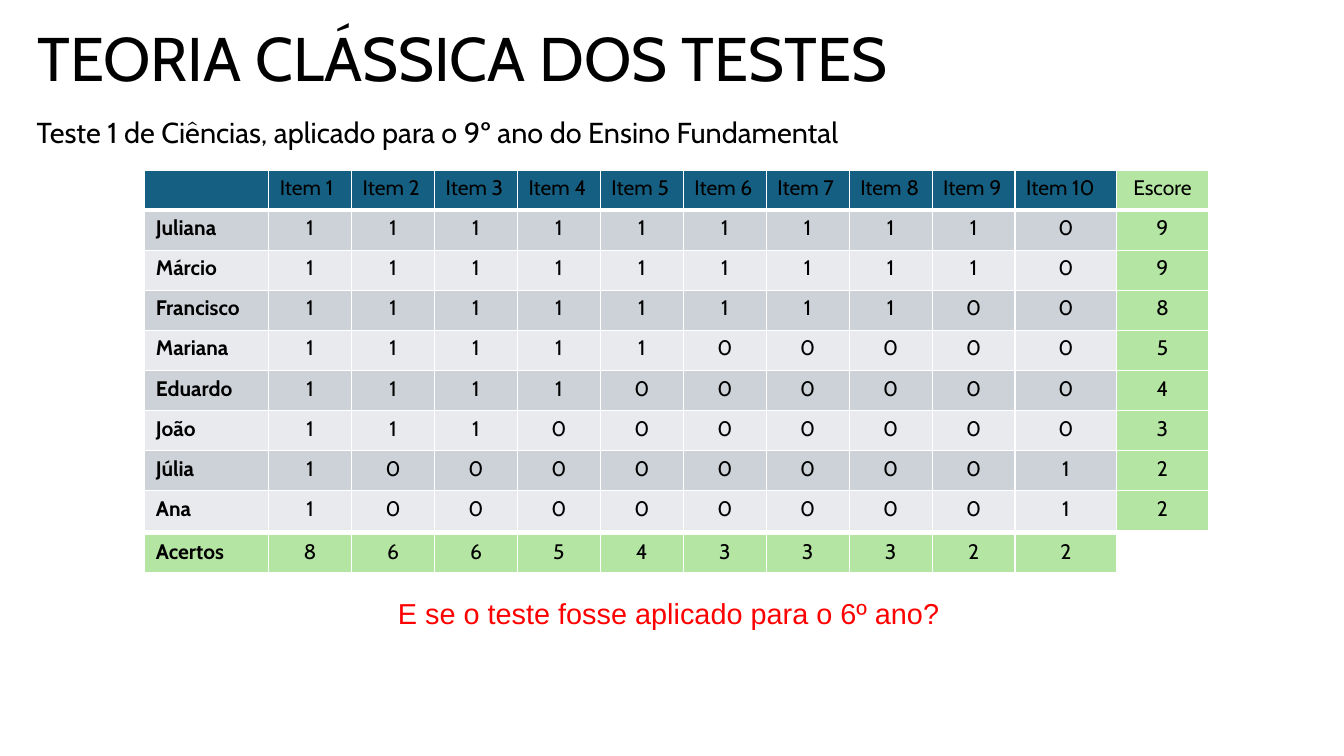
"""Build the classical test theory slide with its item response table."""
import dataclasses

import lxml.etree
import pptx
import pptx.dml.color
import pptx.enum.text
import pptx.oxml.ns
import pptx.util

Cm = pptx.util.Cm
Pt = pptx.util.Pt
Align = pptx.enum.text.PP_ALIGN
Anchor = pptx.enum.text.MSO_ANCHOR

TITLE = "TEORIA CLÁSSICA DOS TESTES"
SUBTITLE = "Teste 1 de Ciências, aplicado para o 9º ano do Ensino Fundamental"
QUESTION = "E se o teste fosse aplicado para o 6º ano?"
SCORE_LABEL = "Escore"
TOTAL_LABEL = "Acertos"
ANSWERS = {
    "Juliana": [1, 1, 1, 1, 1, 1, 1, 1, 1, 0],
    "Márcio": [1, 1, 1, 1, 1, 1, 1, 1, 1, 0],
    "Francisco": [1, 1, 1, 1, 1, 1, 1, 1, 0, 0],
    "Mariana": [1, 1, 1, 1, 1, 0, 0, 0, 0, 0],
    "Eduardo": [1, 1, 1, 1, 0, 0, 0, 0, 0, 0],
    "João": [1, 1, 1, 0, 0, 0, 0, 0, 0, 0],
    "Júlia": [1, 0, 0, 0, 0, 0, 0, 0, 0, 1],
    "Ana": [1, 0, 0, 0, 0, 0, 0, 0, 0, 1],
}

ITEM_COUNT = 10
ITEM_WIDTHS = [3.12] + [2.09] * (ITEM_COUNT - 1) + [2.56]
SCORE_WIDTH = 2.31
ROW_HEIGHT = 1.01
TABLE_LEFT, TABLE_TOP, TOTAL_TOP = 3.65, 4.29, 13.46


@dataclasses.dataclass(frozen=True)
class Theme:
    font: str = "Cabin"
    question_font: str = "Arial"
    text: str = "000000"
    question: str = "FF0000"
    header: str = "156082"
    bands: tuple = ("CCD2D8", "E8EAED")
    sums: str = "B4E5A2"
    border: str = "FFFFFF"
    title_size: float = 44
    body_size: float = 20.6
    table_size: float = 15
    thin: float = 1
    thick: float = 3


THEME = Theme()


def style_font(font, name, size, color, bold=False):
    font.name, font.size, font.bold = name, Pt(size), bold
    font.color.rgb = pptx.dml.color.RGBColor.from_string(color)


def add_text(slide, text, box, size, spacing, align=Align.LEFT, anchor=Anchor.TOP,
             name=THEME.font, color=THEME.text, vertical_inset=0.13):
    frame = slide.shapes.add_textbox(*map(Cm, box)).text_frame
    frame.word_wrap = True
    frame.vertical_anchor = anchor
    frame.margin_top = frame.margin_bottom = Cm(vertical_inset)
    paragraph = frame.paragraphs[0]
    paragraph.text = text
    paragraph.alignment = align
    paragraph.line_spacing = spacing
    style_font(paragraph.font, name, size, color)


def set_borders(cell, bottom):
    properties = cell._tc.get_or_add_tcPr()
    for side in ("L", "R", "T", "B"):
        width = bottom if side == "B" else THEME.thin
        line = lxml.etree.SubElement(
            properties, pptx.oxml.ns.qn(f"a:ln{side}"), w=str(Pt(width)))
        fill = lxml.etree.SubElement(line, pptx.oxml.ns.qn("a:solidFill"))
        lxml.etree.SubElement(fill, pptx.oxml.ns.qn("a:srgbClr"), val=THEME.border)


def style_cell(cell, value, fill, align, bold, bottom):
    set_borders(cell, bottom)
    cell.fill.solid()
    cell.fill.fore_color.rgb = pptx.dml.color.RGBColor.from_string(fill)
    cell.margin_left = cell.margin_right = Cm(0.28)
    paragraph = cell.text_frame.paragraphs[0]
    paragraph.text = str(value)
    paragraph.alignment = align
    style_font(paragraph.font, THEME.font, THEME.table_size, THEME.text, bold)


def add_grid(slide, left, top, widths, rows, fills, left_aligned, bold):
    table = slide.shapes.add_table(
        len(rows), len(widths), Cm(left), Cm(top),
        Cm(sum(widths)), Cm(ROW_HEIGHT * len(rows))).table
    table.first_row = table.horz_banding = False
    for column, width in zip(table.columns, widths):
        column.width = Cm(width)
    for row_index, values in enumerate(rows):
        table.rows[row_index].height = Cm(ROW_HEIGHT)
        bottom = THEME.thin if row_index else THEME.thick
        for column_index, value in enumerate(values):
            place = (row_index, column_index)
            align = Align.LEFT if left_aligned(*place) else Align.CENTER
            style_cell(table.cell(*place), value, fills[row_index], align,
                       bold(*place), bottom)


def main():
    presentation = pptx.Presentation()
    presentation.slide_width, presentation.slide_height = Cm(33.87), Cm(19.05)
    slide = presentation.slides.add_slide(presentation.slide_layouts[6])

    add_text(slide, TITLE, (0.69, 0.56, 32.5, 2), THEME.title_size, 0.9,
             anchor=Anchor.MIDDLE)
    add_text(slide, SUBTITLE, (0, 2.87, 22.07, 1.37), THEME.body_size, 0.9,
             align=Align.CENTER)

    header = [""] + [f"Item {number}" for number in range(1, ITEM_COUNT + 1)]
    answers = [[student, *marks] for student, marks in ANSWERS.items()]
    scores = [[SCORE_LABEL]] + [[sum(marks)] for marks in ANSWERS.values()]
    totals = [TOTAL_LABEL, *map(sum, zip(*ANSWERS.values()))]
    bands = [THEME.bands[index % 2] for index in range(len(answers))]

    add_grid(slide, TABLE_LEFT, TABLE_TOP, ITEM_WIDTHS, [header] + answers,
             [THEME.header] + bands,
             left_aligned=lambda row, column: row == 0 or column == 0,
             bold=lambda row, column: row > 0 and column == 0)
    add_grid(slide, TABLE_LEFT + sum(ITEM_WIDTHS), TABLE_TOP, [SCORE_WIDTH], scores,
             [THEME.sums] * len(scores),
             left_aligned=lambda row, column: False,
             bold=lambda row, column: False)
    add_grid(slide, TABLE_LEFT, TOTAL_TOP, ITEM_WIDTHS, [totals], [THEME.sums],
             left_aligned=lambda row, column: column == 0,
             bold=lambda row, column: column == 0)

    add_text(slide, QUESTION, (9.78, 14.58, 14.3, 1.65), THEME.body_size, 1.5,
             name=THEME.question_font, color=THEME.question, vertical_inset=0)
    presentation.save("out.pptx")


if __name__ == "__main__":
    main()
